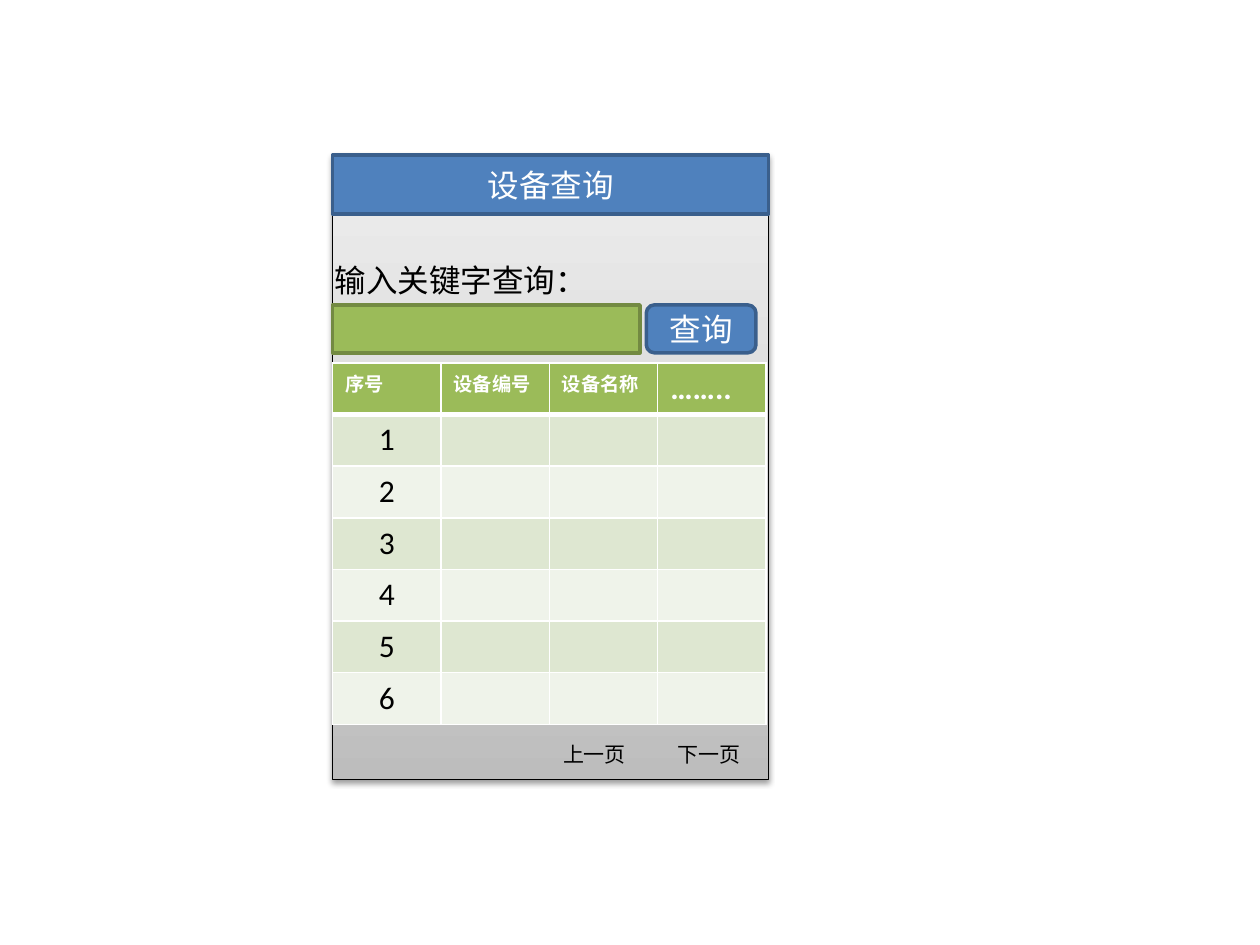
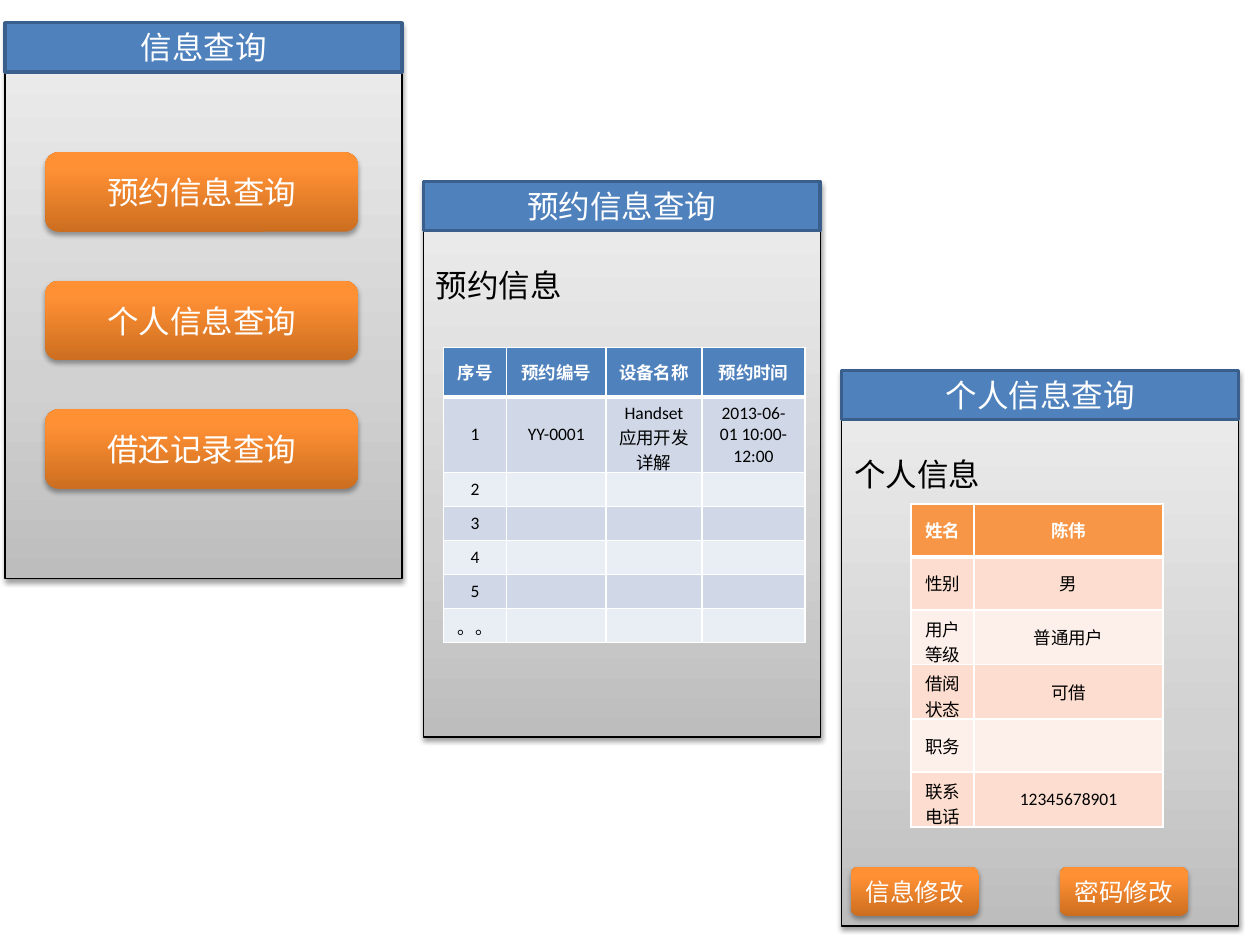
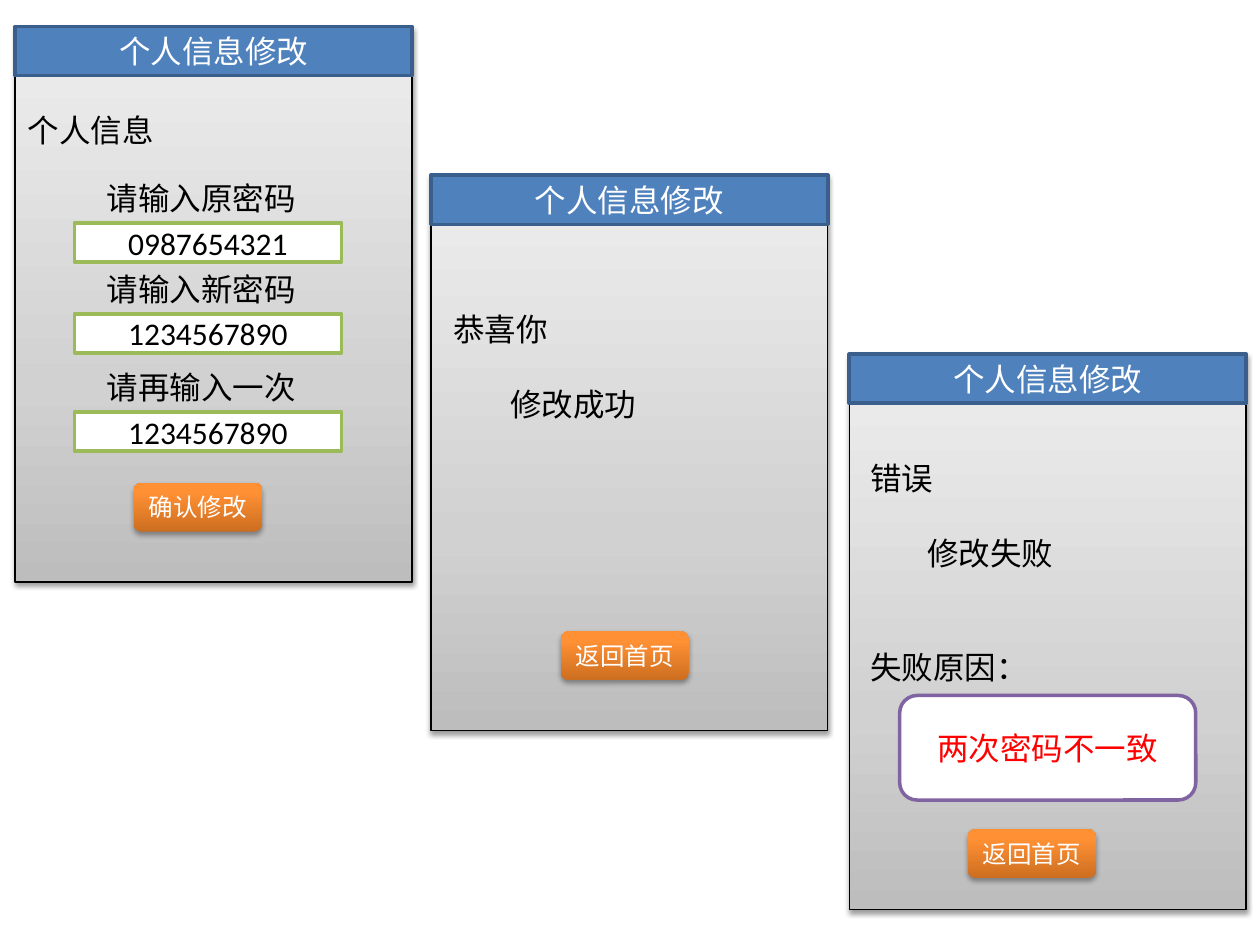
from dataclasses import dataclass

from lxml import etree
from pptx import Presentation
from pptx.dml.color import RGBColor
from pptx.enum.shapes import MSO_SHAPE
from pptx.enum.text import MSO_ANCHOR, PP_ALIGN
from pptx.oxml.ns import qn
from pptx.util import Inches, Pt

RECT, ROUND = MSO_SHAPE.RECTANGLE, MSO_SHAPE.ROUNDED_RECTANGLE
LEFT, CENTER = PP_ALIGN.LEFT, PP_ALIGN.CENTER
TOP, MIDDLE = MSO_ANCHOR.TOP, MSO_ANCHOR.MIDDLE


@dataclass(frozen=True)
class Theme:
    """Colours, fonts and sizes shared by all slides."""

    font: str = "Calibri"
    black: str = "000000"
    white: str = "FFFFFF"
    red: str = "FF0000"
    blue: str = "4F81BD"
    blue_edge: str = "3A5F8C"
    green: str = "9BBB59"
    green_edge: str = "738A42"
    purple: str = "8064A2"
    panel: tuple = ((0, "BDBDBD"), (35, "D1D1D1"), (100, "EEEEEE"))
    orange: tuple = ((0, "CC6E20"), (80, "FF9034"), (100, "FF9136"))
    green_table: tuple = ("9BBB59", "DEE7D1", "EFF3EA")
    blue_table: tuple = ("4F81BD", "D0D8E8", "E9EDF4")
    orange_table: tuple = ("F79646", "FCDDCF", "FDEFE9")
    body: int = 18
    button: int = 14
    pager: int = 12
    head: int = 11
    small: int = 10


T = Theme()


def rgb(value):
    """Turn a hex string into a colour."""
    return RGBColor.from_string(value)


def add_color(parent, value):
    """Append an sRGB colour element."""
    return etree.SubElement(parent, qn("a:srgbClr"), val=value)


def style_paragraph(p, size, color, align=LEFT, bold=False):
    """Align a paragraph and format its runs."""
    p.alignment = align
    for r in p.runs:
        r.font.name = T.font
        r.font.size = Pt(size)
        r.font.bold = bold
        r.font.color.rgb = rgb(color)


def add_box(slide, kind, box, fill, line=None, width=2, text="", size=T.body, color=T.white):
    """Draw a preset shape with a solid or gradient fill and centred text."""
    sp = slide.shapes.add_shape(kind, *map(Inches, box))
    sp.shadow.inherit = False
    if isinstance(fill, str):
        sp.fill.solid()
        sp.fill.fore_color.rgb = rgb(fill)
    else:
        set_gradient(sp, fill)
    if line:
        sp.line.color.rgb = rgb(line)
        sp.line.width = Pt(width)
    else:
        sp.line.fill.background()
    if text:
        tf = sp.text_frame
        tf.text = text
        tf.vertical_anchor = MIDDLE
        style_paragraph(tf.paragraphs[0], size, color, CENTER)
    return sp


def set_gradient(sp, stops):
    """Fill a shape with a gradient that rises from its bottom edge."""
    sp.fill.gradient()
    sp.fill.gradient_angle = 90
    stop_list = sp._element.spPr.find(".//" + qn("a:gsLst"))
    for stop in list(stop_list):
        stop_list.remove(stop)
    for pos, color in stops:
        add_color(etree.SubElement(stop_list, qn("a:gs"), pos=str(pos * 1000)), color)


def add_shadow(sp, alpha, dist):
    """Give a shape a soft shadow below it."""
    effects = sp._element.spPr.find(qn("a:effectLst"))
    shadow = etree.SubElement(effects, qn("a:outerShdw"), blurRad=str(Pt(3.1)),
                              dist=str(Pt(dist)), dir="5400000", rotWithShape="0")
    etree.SubElement(add_color(shadow, T.black), qn("a:alpha"), val=str(alpha * 1000))


def add_screen(slide, x, y, title, w=3.15, h=4.41, bar=0.39):
    """Draw a phone screen with its title bar."""
    add_shadow(add_box(slide, RECT, (x, y, w, h), T.panel, T.black, 0.75), 38, 1.6)
    add_box(slide, RECT, (x, y, w, bar), T.blue, T.blue_edge, text=title)


def add_button(slide, x, y, text, w=1.02, h=0.39, size=T.button):
    """Draw an orange button."""
    add_shadow(add_box(slide, ROUND, (x, y, w, h), T.orange, text=text, size=size), 35, 1.8)


def add_label(slide, x, y, *lines, w=1.89, h=0.4, size=T.body):
    """Write lines, each a text or a tuple of text, space before and indent."""
    tf = slide.shapes.add_textbox(*map(Inches, (x, y, w, h))).text_frame
    tf.word_wrap = True
    for i, line in enumerate(lines):
        text, gap, indent = (line, 0, 0) if isinstance(line, str) else line
        p = tf.add_paragraph() if i else tf.paragraphs[0]
        p.text = text
        p.space_before = Pt(gap)
        p._p.get_or_add_pPr().set("marL", str(Inches(indent)))
        style_paragraph(p, size, T.black)


def set_borders(cell, bottom):
    """Draw white borders around a cell."""
    tc_pr = cell._tc.get_or_add_tcPr()
    for side, width in (("L", 1), ("R", 1), ("T", 1), ("B", bottom)):
        ln = etree.SubElement(tc_pr, qn("a:ln" + side), w=str(Pt(width)))
        add_color(etree.SubElement(ln, qn("a:solidFill")), T.white)


def add_grid(slide, x, y, cols, heights, rows, fills, sizes, aligns=(CENTER, CENTER), anchor=MIDDLE):
    """Draw a table with a coloured header and two alternating row fills."""
    table = slide.shapes.add_table(len(rows), len(cols), *map(Inches, (x, y, sum(cols), sum(heights)))).table
    for col, width in zip(table.columns, cols):
        col.width = Inches(width)
    for i, values in enumerate(rows):
        table.rows[i].height = Inches(heights[i])
        header = i == 0
        for j in range(len(cols)):
            cell = table.cell(i, j)
            set_borders(cell, 3 if header else 1)
            cell.fill.solid()
            cell.fill.fore_color.rgb = rgb(fills[0] if header else fills[2 - i % 2])
            cell.vertical_anchor = anchor
            p = cell.text_frame.paragraphs[0]
            size = sizes[0] if header else sizes[1]
            if j < len(values) and values[j]:
                p.text = values[j]
                style_paragraph(p, size, T.white if header else T.black, aligns[0 if header else 1], header)
            else:
                etree.SubElement(p._p, qn("a:endParaRPr"), sz=str(size * 100))
    return table


def build_device_search(slide):
    """Build the device search screen."""
    add_screen(slide, 2.64, 1.23, "设备查询", 3.46, 4.96, 0.47)
    rows = [("序号", "设备编号", "设备名称", "……..")] + [(str(n),) for n in range(1, 7)]
    table = add_grid(slide, 2.64, 2.88, [0.86] * 4, [0.41] * 7, rows, T.green_table,
                     (T.head, T.body), (LEFT, CENTER), TOP)
    style_paragraph(table.cell(0, 3).text_frame.paragraphs[0], T.body, T.white, bold=True)
    for x, text in ((4.37, "上一页"), (5.28, "下一页")):
        add_label(slide, x, 5.84, text, w=0.79, h=0.3, size=T.pager)
    add_label(slide, 2.56, 2.02, "输入关键字查询：", w=2.6)
    add_box(slide, RECT, (2.64, 2.42, 2.44, 0.38), T.green, T.green_edge)
    add_box(slide, ROUND, (5.13, 2.42, 0.87, 0.38), T.blue, T.blue_edge, text="查询")


def build_information(slide):
    """Build the information menu, booking and profile screens."""
    add_screen(slide, 0.04, 0.18, "信息查询")
    for i, text in enumerate(("预约信息查询", "个人信息查询", "借还记录查询")):
        add_button(slide, 0.36, 1.21 + 1.02 * i, text, 2.48, 0.63, T.body)

    add_screen(slide, 3.36, 1.44, "预约信息查询")
    add_label(slide, 3.36, 2.06, "预约信息")
    bookings = [("序号", "预约编号", "设备名称", "预约时间"),
                ("1", "YY-0001", "Handset应用开发详解", "2013-06-01 10:00-12:00"),
                ("2",), ("3",), ("4",), ("5",), ("。。",)]
    add_grid(slide, 3.52, 2.76, (0.5, 0.79, 0.76, 0.82), [0.39, 0.6] + [0.27] * 5,
             bookings, T.blue_table, (T.small, T.small))

    add_screen(slide, 6.68, 2.94, "个人信息查询")
    add_label(slide, 6.68, 3.56, "个人信息")
    profile = [("姓名", "陈伟"), ("性别", "男"), ("用户等级", "普通用户"),
               ("借阅状态", "可借"), ("职务",), ("联系电话", "12345678901")]
    add_grid(slide, 7.23, 4, (0.5, 1.5), (0.42, 0.42, 0.43, 0.43, 0.42, 0.42),
             profile, T.orange_table, (T.small, T.small))
    for x, text in ((6.75, "信息修改"), (8.41, "密码修改")):
        add_button(slide, x, 6.88, text)


def build_password_change(slide):
    """Build the password form, success and failure screens."""
    for x, y in ((0.12, 0.21), (3.42, 1.39), (6.74, 2.81)):
        add_screen(slide, x, y, "个人信息修改")

    add_label(slide, 0.12, 0.83, "个人信息")
    for y, prompt, value in ((1.37, "请输入原密码", "0987654321"),
                             (2.09, "请输入新密码", "1234567890"),
                             (2.87, "请再输入一次", "1234567890")):
        add_label(slide, 0.75, y, prompt)
        add_box(slide, RECT, (0.59, y + 0.4, 2.12, 0.31), T.white, T.green, text=value, color=T.black)
    add_button(slide, 1.06, 3.83, "确认修改")

    add_label(slide, 3.5, 2.41, "恭喜你", ("修改成功", 21.6, 0.45), h=1.01)
    add_button(slide, 4.45, 5.01, "返回首页")

    add_label(slide, 6.81, 3.59, "错误", ("修改失败", 21.6, 0.45), ("失败原因：", 43.2, 0), h=2.22)
    add_button(slide, 7.68, 6.58, "返回首页")
    add_box(slide, ROUND, (7.14, 5.52, 2.35, 0.83), T.white, T.purple, text="两次密码不一致", color=T.red)


def main():
    """Build and save the presentation."""
    prs = Presentation()
    prs.slide_width, prs.slide_height = Inches(10), Inches(7.5)
    for build in (build_device_search, build_information, build_password_change):
        build(prs.slides.add_slide(prs.slide_layouts[6]))
    prs.save("out.pptx")


main()
